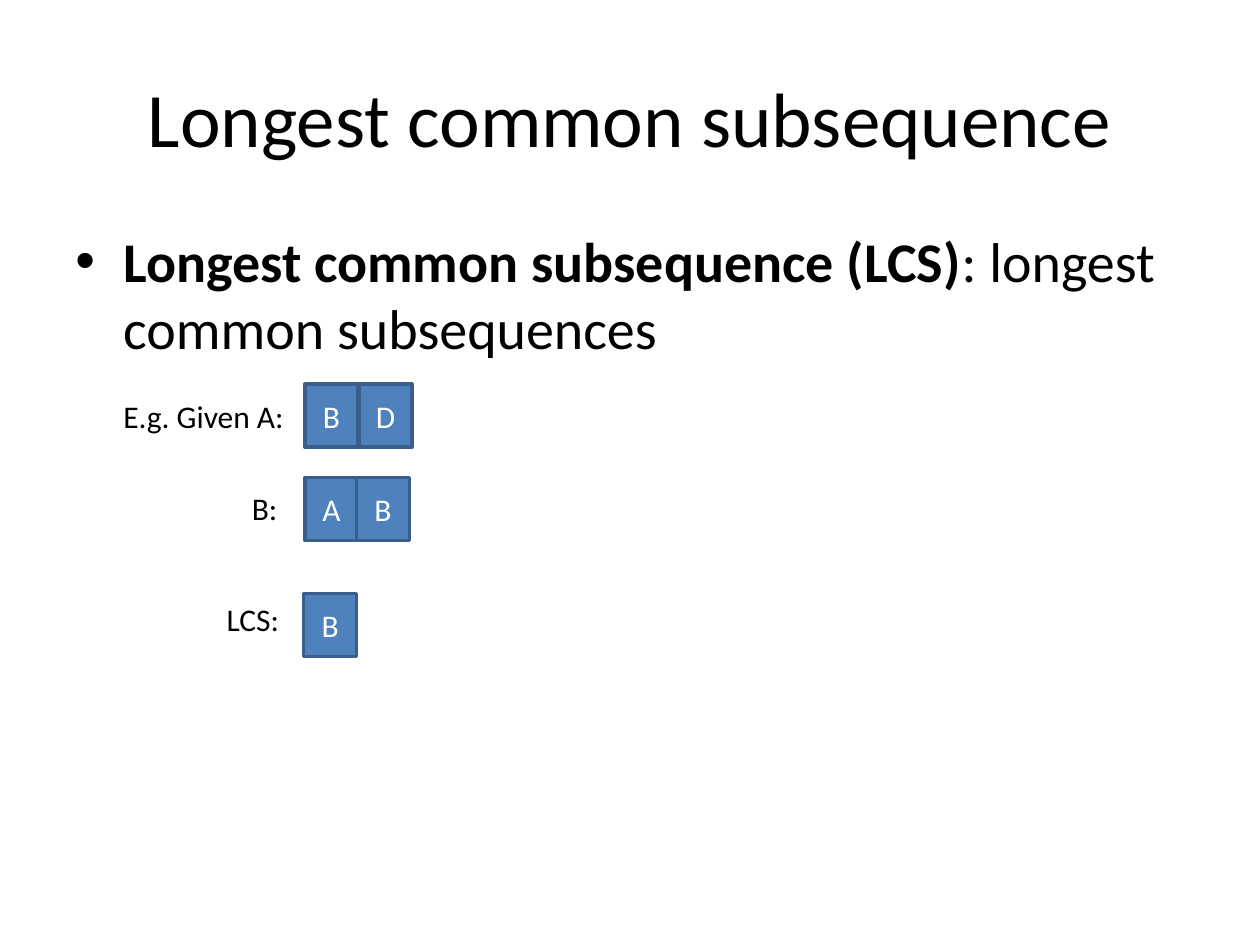
from lxml import etree
from pptx import Presentation
from pptx import util as u
from pptx.dml.color import RGBColor
from pptx.enum import shapes, text
from pptx.oxml.ns import qn

COLUMNS, ROWS = 100, 75


def paint(color_format, value):
    """Set a font, or a fill made solid, to a hex colour."""
    color_format.rgb = RGBColor.from_string(value)


def write(para, words, size=18, color="000000", bold=False, font="Calibri"):
    """Add one formatted span to a paragraph."""
    span = para.add_run()
    span.text = words
    span.font.size = u.Pt(size)
    span.font.name = font
    span.font.bold = bold
    paint(span.font.color, color)


class Sheet:
    """Hold the style and the page being drawn, on a grid of columns and rows."""

    fill, edge, light = "4F81BD", "3A5F8C", "FFFFFF"
    cell_width, cell_height = 4.2, 5

    def __init__(self, deck):
        """Add a blank page to the deck."""
        self.page = deck.slides.add_slide(deck.slide_layouts[6])
        self.column = deck.slide_width / COLUMNS
        self.row = deck.slide_height / ROWS

    def area(self, left, top, width, height):
        """Turn grid units into lengths."""
        return (u.Emu(round(left * self.column)), u.Emu(round(top * self.row)),
                u.Emu(round(width * self.column)), u.Emu(round(height * self.row)))

    def text_box(self, *place, anchor=text.MSO_ANCHOR.TOP):
        """Add a wrapping text box and return its first paragraph."""
        frame = self.page.shapes.add_textbox(*self.area(*place)).text_frame
        frame.word_wrap = True
        frame.vertical_anchor = anchor
        return frame.paragraphs[0]

    def title(self, words):
        """Add the centred heading."""
        para = self.text_box(5, 3, 90, 12.5, anchor=text.MSO_ANCHOR.MIDDLE)
        para.alignment = text.PP_ALIGN.CENTER
        write(para, words, size=44)

    def definition(self, term, meaning):
        """Add a bulleted term with its meaning."""
        para = self.text_box(5, 17.5, 90, 49.5)
        props = para._p.get_or_add_pPr()
        indent = u.Inches(0.38)
        props.set("marL", str(indent))
        props.set("indent", str(-indent))
        etree.SubElement(props, qn("a:buFont"), typeface="Arial")
        etree.SubElement(props, qn("a:buChar"), char="•")
        write(para, term, size=32, bold=True)
        write(para, meaning, size=32)

    def label(self, words, left, top, width):
        """Add the name of a sequence."""
        write(self.text_box(left, top, width, 4), words)

    def cell(self, letter, left, top):
        """Add one letter of a sequence."""
        box = self.page.shapes.add_shape(
            shapes.MSO_SHAPE.RECTANGLE,
            *self.area(left, top, self.cell_width, self.cell_height))
        box.shadow.inherit = False
        box.fill.solid()
        paint(box.fill.fore_color, self.fill)
        paint(box.line.color, self.edge)
        box.line.width = u.Pt(2)
        box.text_frame.vertical_anchor = text.MSO_ANCHOR.MIDDLE
        para = box.text_frame.paragraphs[0]
        para.alignment = text.PP_ALIGN.CENTER
        write(para, letter, color=self.light)

    def sequence(self, letters, left, top, step=4.2):
        """Add a row of letter cells."""
        for index, letter in enumerate(letters):
            self.cell(letter, left + index * step, top)


def main():
    """Build and save the deck."""
    deck = Presentation()
    deck.slide_width, deck.slide_height = u.Inches(10), u.Inches(7.5)
    sheet = Sheet(deck)
    sheet.title("Longest common subsequence")
    sheet.definition("Longest common subsequence (LCS)",
                     ": longest common subsequences")
    sheet.label("E.g. Given A:", 8.8, 31, 17.5)
    sheet.sequence("BD", 24.2, 30.5, step=4.3)
    sheet.label("B:", 19, 38.3, 4.4)
    sheet.sequence("AB", 24.2, 37.9, step=4.1)
    sheet.label("LCS:", 17, 47.1, 8.5)
    sheet.sequence("B", 24.1, 47.1)
    deck.save("out.pptx")


if __name__ == "__main__":
    main()
